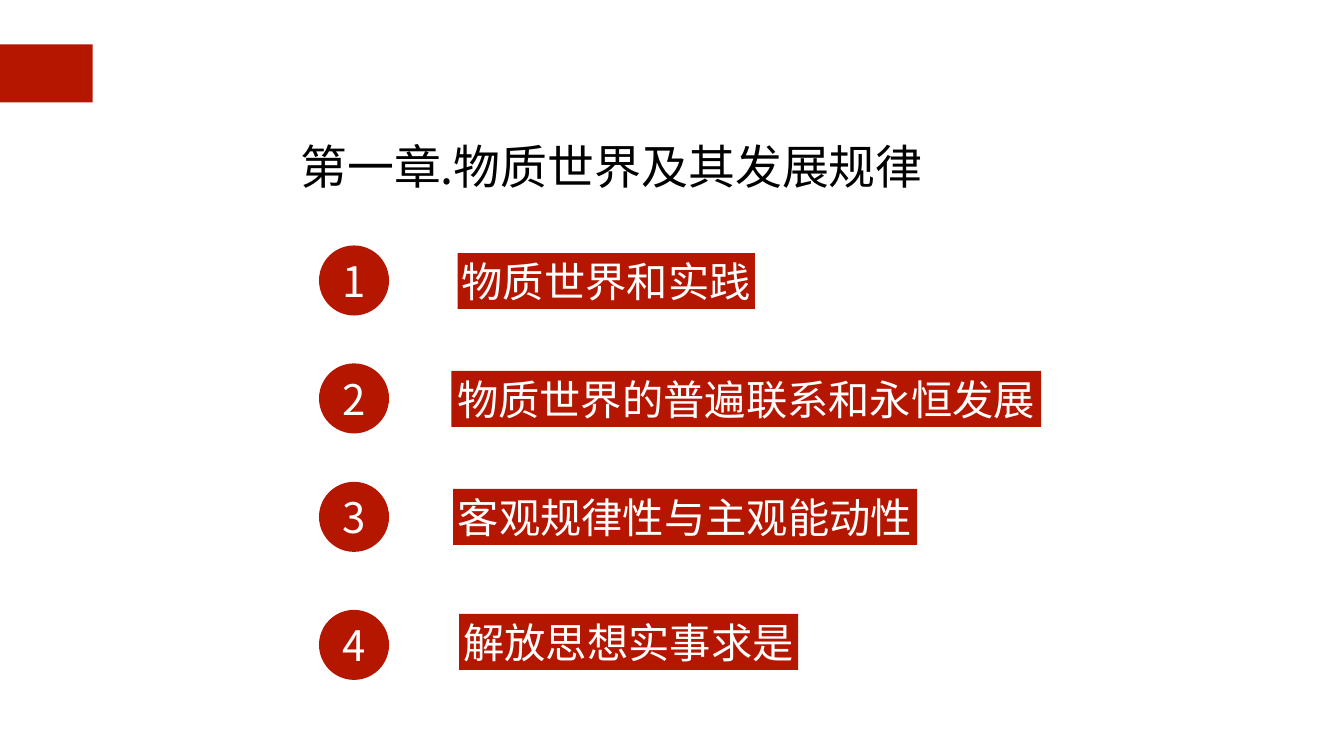
from lxml.etree import SubElement
from pptx import Presentation
from pptx.dml.color import RGBColor
from pptx.enum.shapes import MSO_SHAPE
from pptx.enum.text import MSO_ANCHOR, MSO_AUTO_SIZE, PP_ALIGN
from pptx.oxml.ns import qn
from pptx.util import Inches, Pt

COLORS = {"red": "B51600", "white": "FFFFFF", "black": "000000"}
FONT = "Noto Sans CJK SC"

# Section name, top of number circle, then left, top and width of its label
SECTIONS = [
    ("物质世界和实践", 4.87, 9.08, 5.02, 5.9),
    ("物质世界的普遍联系和永恒发展", 7.21, 8.96, 7.36, 11.7),
    ("客观规律性与主观能动性", 9.56, 8.99, 9.7, 9.21),
    ("解放思想实事求是", 12.1, 9.11, 12.18, 6.73),
]
CIRCLE_LEFT, CIRCLE_SIZE, LABEL_HEIGHT = 6.33, 1.39, 1.11


class ChapterSlide:
    def __init__(self, page):
        self.page = page

    def add_text(self, box, text, size, color, align, inset=0.06, wrap=False):
        frame = box.text_frame
        frame.auto_size = MSO_AUTO_SIZE.NONE
        frame.word_wrap = wrap
        frame.vertical_anchor = MSO_ANCHOR.MIDDLE
        frame.margin_left = frame.margin_right = Inches(inset)
        frame.margin_top = frame.margin_bottom = Inches(inset)
        para = frame.paragraphs[0]
        para.alignment = align
        span = para.add_run()
        span.text = text
        span.font.size = Pt(size)
        span.font.color.rgb = RGBColor.from_string(COLORS[color])
        span.font.name = FONT
        # East Asian characters take their own typeface element
        SubElement(span.font._element, qn("a:ea"), typeface=FONT)
        return para

    def title(self, text, left, top, width, height):
        box = self.page.shapes.title
        box.left, box.top = Inches(left), Inches(top)
        box.width, box.height = Inches(width), Inches(height)
        para = self.add_text(box, text, 67, "black", PP_ALIGN.LEFT, wrap=True)
        para.line_spacing = 1.5

    def block(self, kind, left, top, width, height):
        box = self.page.shapes.add_shape(
            kind, Inches(left), Inches(top), Inches(width), Inches(height))
        box.shadow.inherit = False
        box.fill.solid()
        box.fill.fore_color.rgb = RGBColor.from_string(COLORS["red"])
        box.line.fill.background()
        return box

    def label(self, text, left, top, width):
        box = self.block(MSO_SHAPE.RECTANGLE, left, top, width, LABEL_HEIGHT)
        self.add_text(box, text, 59, "white", PP_ALIGN.CENTER)

    def number(self, value, top):
        box = self.block(MSO_SHAPE.OVAL, CIRCLE_LEFT, top, CIRCLE_SIZE, CIRCLE_SIZE)
        self.add_text(box, str(value), 60, "white", PP_ALIGN.CENTER, inset=0)


def main():
    deck = Presentation()
    deck.slide_width, deck.slide_height = Inches(26.67), Inches(15)
    slide = ChapterSlide(deck.slides.add_slide(deck.slide_layouts[5]))

    # Corner bar and chapter title
    slide.block(MSO_SHAPE.RECTANGLE, -0.03, 0.88, 1.87, 1.15)
    slide.title("第一章.物质世界及其发展规律", 5.9, 2.2, 12.55, 1.6)

    # Numbered sections
    for value, (name, circle_top, left, top, width) in enumerate(SECTIONS, 1):
        slide.number(value, circle_top)
        slide.label(name, left, top, width)

    deck.save("out.pptx")


if __name__ == "__main__":
    main()
